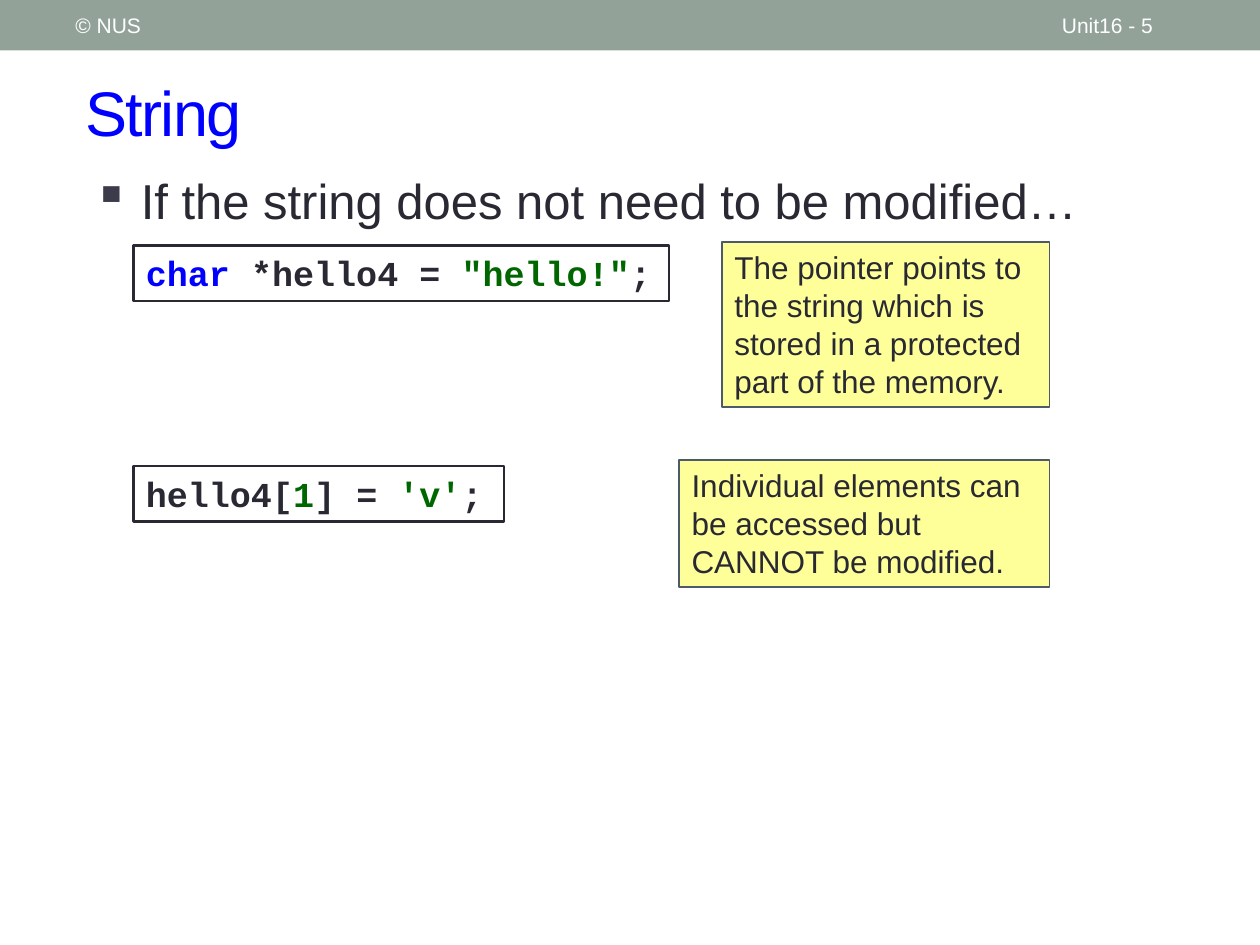
from lxml.etree import SubElement
from pptx import Presentation
from pptx.dml.color import RGBColor
from pptx.enum.shapes import MSO_SHAPE as Shape
from pptx.enum.text import MSO_ANCHOR as Anchor, PP_ALIGN as Align
from pptx.oxml.ns import qn
from pptx.util import Inches, Pt

WHITE = RGBColor(0xFF, 0xFF, 0xFF)
SAGE = RGBColor(0x93, 0xA2, 0x99)
INK = RGBColor(0x29, 0x29, 0x34)
BULLET = RGBColor(0x3B, 0x3B, 0x4B)
BLUE = RGBColor(0x00, 0x00, 0xFF)
GREEN = RGBColor(0x00, 0x66, 0x00)
YELLOW = RGBColor(0xFF, 0xFF, 0x99)
SLATE = RGBColor(0x4C, 0x5A, 0x6A)


class SlideBuilder:
    body_font = "Arial"
    code_font = "Courier New"

    def __init__(self, presentation):
        self.slide = presentation.slides.add_slide(presentation.slide_layouts[5])

    def style(self, paragraph, size, color=None, font=body_font, bold=False):
        paragraph.alignment = Align.LEFT
        paragraph.font.name = font
        paragraph.font.size = Pt(size)
        paragraph.font.bold = bold
        if color is not None:
            paragraph.font.color.rgb = color

    def title(self, text, left, top, width, height):
        heading = self.slide.shapes.title
        heading.left, heading.top = Inches(left), Inches(top)
        heading.width, heading.height = Inches(width), Inches(height)
        frame = heading.text_frame
        frame.text = text
        frame.vertical_anchor = Anchor.MIDDLE
        self.style(frame.paragraphs[0], 36, BLUE)
        frame.paragraphs[0].runs[0].font._element.set("spc", "-100")

    def text(self, text, left, top, width, height, size, color, anchor=Anchor.TOP):
        box = self.slide.shapes.add_textbox(
            Inches(left), Inches(top), Inches(width), Inches(height))
        frame = box.text_frame
        frame.word_wrap = True
        frame.vertical_anchor = anchor
        paragraph = frame.paragraphs[0]
        paragraph.text = text
        self.style(paragraph, size, color)
        return paragraph

    def bullet(self, text, left, top, width, height):
        paragraph = self.text(text, left, top, width, height, 28, INK)
        properties = paragraph._p.get_or_add_pPr()
        indent = Inches(0.38)
        properties.set("marL", str(indent))
        properties.set("indent", str(-indent))
        marker_color = properties.makeelement(qn("a:buClr"))
        SubElement(marker_color, qn("a:srgbClr"), val=str(BULLET))
        marker = properties.makeelement(qn("a:buChar"), char="▪")
        properties.insert(0, marker_color)
        properties.insert(1, marker)

    def panel(self, left, top, width, height, fill, line=None, weight=1):
        panel = self.slide.shapes.add_shape(
            Shape.RECTANGLE, Inches(left), Inches(top), Inches(width), Inches(height))
        panel.shadow.inherit = False
        panel.fill.solid()
        panel.fill.fore_color.rgb = fill
        if line is None:
            panel.line.fill.background()
        else:
            panel.line.color.rgb = line
            panel.line.width = Pt(weight)
        frame = panel.text_frame
        frame.word_wrap = True
        frame.vertical_anchor = Anchor.TOP
        return frame.paragraphs[0]

    def code(self, tokens, left, top, width, height):
        statement = self.panel(left, top, width, height, WHITE, INK, 1.5)
        for text, color in tokens:
            token = statement.add_run()
            token.text = text
            token.font.color.rgb = color
        self.style(statement, 20, font=self.code_font, bold=True)

    def note(self, text, left, top, width, height):
        remark = self.panel(left, top, width, height, YELLOW, SLATE)
        remark.text = text
        self.style(remark, 18, INK)


def main():
    presentation = Presentation()
    presentation.slide_width, presentation.slide_height = Inches(10), Inches(7.5)
    page = SlideBuilder(presentation)

    page.panel(0, 0, 10, 0.4, SAGE)
    page.title("String", 0.58, 0.42, 9.17, 0.92)
    page.text("Unit16 - 5", 8.33, 0.02, 1.17, 0.36, 12, WHITE, Anchor.MIDDLE)
    page.text("© NUS", 0.5, 0.02, 3.17, 0.36, 12, WHITE, Anchor.MIDDLE)
    page.bullet("If the string does not need to be modified…", 0.64, 1.3, 9.07, 1.55)

    declaration = [("char", BLUE), (" *hello4 = ", INK), ('"hello!"', GREEN), (";", INK)]
    assignment = [("hello4[", INK), ("1", GREEN), ("] = ", INK), ("'v'", GREEN), (";", INK)]
    page.code(declaration, 1.06, 1.95, 4.25, 0.44)
    page.code(assignment, 1.06, 3.7, 2.94, 0.44)

    page.note("Individual elements can be accessed but CANNOT be modified.",
              5.39, 3.65, 2.94, 1.01)
    page.note("The pointer points to the string which is stored in a protected "
              "part of the memory.", 5.73, 1.92, 2.6, 1.31)

    presentation.save("out.pptx")


if __name__ == "__main__":
    main()
